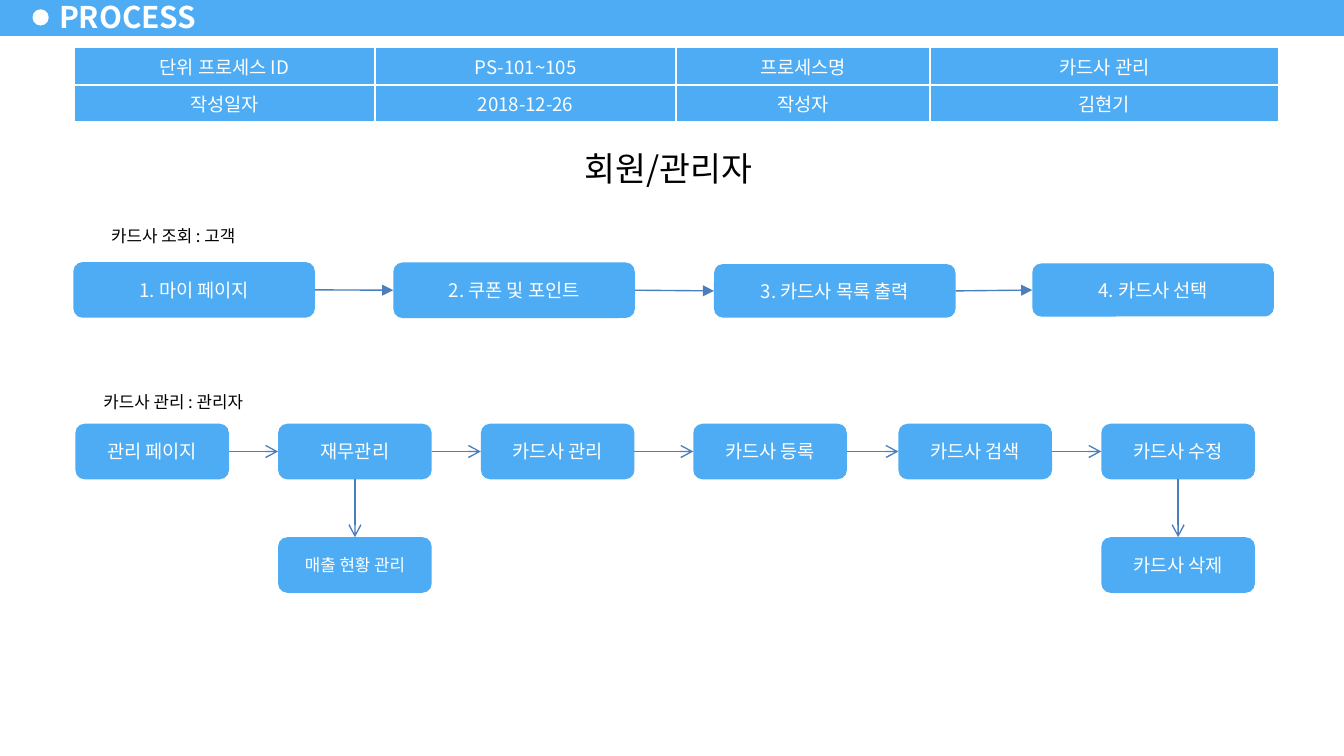
from lxml import etree
from pptx import Presentation
from pptx.dml.color import RGBColor
from pptx.enum import shapes as sh, text as tx
from pptx.oxml import parse_xml
from pptx.oxml.ns import nsdecls, qn
from pptx.util import Pt

BLUE = RGBColor(0x4D, 0xAC, 0xF3)
EDGE = RGBColor(0x4B, 0x7E, 0xBC)
WHITE = RGBColor(255, 255, 255)
BLACK = RGBColor(0, 0, 0)
FONT = "Noto Sans CJK KR"
KIND = sh.MSO_SHAPE
MID, TOP = tx.MSO_ANCHOR.MIDDLE, tx.MSO_ANCHOR.TOP


def write(frame, words, size, color, align=tx.PP_ALIGN.CENTER, bold=False):
    para = frame.paragraphs[0]
    para.alignment = align
    run = para.add_run()
    run.text = words
    run.font.color.rgb = color
    style = {"size": Pt(size), "name": FONT, "bold": bold}
    for key, val in style.items():
        setattr(run.font, key, val)
    etree.SubElement(run.font._element, qn("a:ea")).set("typeface", FONT)


def block(kind, x, y, w, h, fill, words="", size=10, color=WHITE, anchor=MID):
    box = slide.shapes.add_shape(kind, Pt(x), Pt(y), Pt(w), Pt(h))
    box.shadow.inherit = False
    box.fill.solid()
    box.fill.fore_color.rgb = fill
    box.line.fill.background()
    if words:
        form = {"word_wrap": True, "vertical_anchor": anchor}
        for key, val in form.items():
            setattr(box.text_frame, key, val)
        write(box.text_frame, words, size, color)
    return box


deck = Presentation()
deck.slide_width, deck.slide_height = Pt(720), Pt(405)
slide = deck.slides.add_slide(deck.slide_layouts[6])

# Header band
block(KIND.RECTANGLE, 0, -1, 720, 20.3, BLUE)
block(KIND.OVAL, 17.4, 5, 8.7, 8.7, WHITE)
head = slide.shapes.add_textbox(Pt(25.2), Pt(-2.8), Pt(88), Pt(23)).text_frame
form = {"word_wrap": True, "vertical_anchor": MID,
        "margin_left": Pt(6.5), "margin_right": Pt(6.5),
        "margin_top": Pt(3), "margin_bottom": Pt(3)}
for key, val in form.items():
    setattr(head, key, val)
write(head, "PROCESS", 16, WHITE, tx.PP_ALIGN.LEFT, True)

# Info table
rows = [["단위 프로세스 ID", "PS-101~105", "프로세스명", "카드사 관리"],
        ["작성일자", "2018-12-26", "작성자", "김현기"]]
wides = [161.3, 161.3, 136, 187]
grid = slide.shapes.add_table(2, 4, Pt(39.6), Pt(25.5), Pt(sum(wides)), Pt(40)).table
for col, wide in zip(grid.columns, wides):
    col.width = Pt(wide)
for r, row in enumerate(rows):
    grid.rows[r].height = Pt(20)
    for c, words in enumerate(row):
        cell = grid.cell(r, c)
        form = {"vertical_anchor": MID, "margin_top": Pt(2), "margin_bottom": Pt(2)}
        for key, val in form.items():
            setattr(cell, key, val)
        write(cell.text_frame, words, 10, WHITE)
        props = cell._tc.get_or_add_tcPr()
        for side in ("lnL", "lnR", "lnT", "lnB"):
            props.append(parse_xml(
                f'<a:{side} {nsdecls("a")} w="12700"><a:solidFill>'
                f'<a:srgbClr val="{WHITE}"/></a:solidFill></a:{side}>'))
        cell.fill.solid()
        cell.fill.fore_color.rgb = BLUE

# Heading and flow labels
labels = [("회원/관리자", 18, 283.7, 75.6, 149, 29.5),
          ("카드사 조회 : 고객", 9, 40.3, 117.4, 105, 18),
          ("카드사 관리 : 관리자", 9, 40.3, 206.4, 105, 18)]
for words, size, *spot in labels:
    block(KIND.RECTANGLE, *spot, WHITE, words, size, BLACK, TOP)

# Customer flow
steps = [("1. 마이 페이지", 39.3, 140.4, 29.8),
         ("2. 쿠폰 및 포인트", 210.7, 140.6, 29.8),
         ("3. 카드사 목록 출력", 382.5, 141.5, 28.7),
         ("4. 카드사 선택", 553, 141.2, 28.4)]
user = [block(KIND.ROUNDED_RECTANGLE, x, y, 129.4, h, BLUE, words)
        for words, x, y, h in steps]

# Manager flow with two branches
tasks = [("관리 페이지", 40.4), ("재무관리", 149), ("카드사 관리", 257.6),
         ("카드사 등록", 371.4), ("카드사 검색", 481.3), ("카드사 수정", 590)]
staff = [block(KIND.ROUNDED_RECTANGLE, x, 227, 82.3, 29.8, BLUE, words)
         for words, x in tasks]
sales = block(KIND.ROUNDED_RECTANGLE, 149, 287.8, 82.3, 29.8, BLUE, "매출 현황 관리", 9)
erase = block(KIND.ROUNDED_RECTANGLE, 590, 287.8, 82.3, 29.8, BLUE, "카드사 삭제")

# Arrows: connection sites are 0 top, 1 left, 2 bottom, 3 right
links = [(a, 3, b, 1, "triangle") for a, b in zip(user, user[1:])]
links += [(a, 3, b, 1, "arrow") for a, b in zip(staff, staff[1:])]
links += [(staff[1], 2, sales, 0, "arrow"), (staff[5], 2, erase, 0, "arrow")]
for start, out, end, into, tip in links:
    link = slide.shapes.add_connector(sh.MSO_CONNECTOR.STRAIGHT, 0, 0, 0, 0)
    link.begin_connect(start, out)
    link.end_connect(end, into)
    link.line.color.rgb = EDGE
    link.line.width = Pt(0.75)
    etree.SubElement(link.line._get_or_add_ln(), qn("a:tailEnd")).set("type", tip)
    etree.SubElement(link._element.spPr, qn("a:effectLst"))

deck.save("out.pptx")
